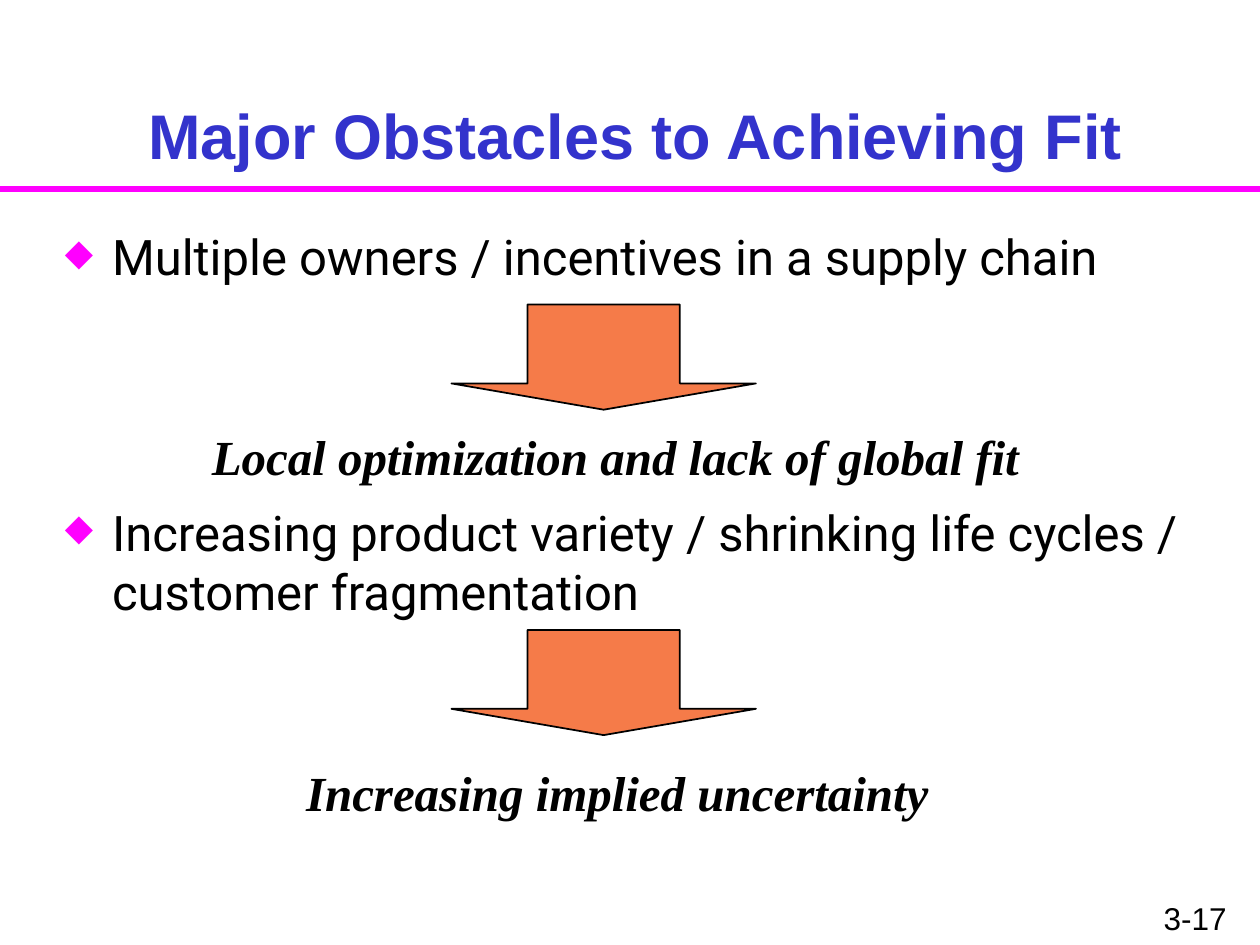
from lxml.etree import SubElement
from pptx import Presentation
from pptx.dml.color import RGBColor as RGB
from pptx.enum.shapes import MSO_CONNECTOR as CONN, MSO_SHAPE as SHAPE
from pptx.enum.text import MSO_ANCHOR as ANCHOR, PP_ALIGN as ALIGN
from pptx.oxml.ns import qn
from pptx.util import Cm, Pt

TITLE = "Major Obstacles to Achieving Fit"
NUMBER = "3-17"
OBSTACLES = [
    "Multiple owners / incentives in a supply chain",
    "Increasing product variety / shrinking life cycles / customer fragmentation",
]
EFFECTS = [
    ("Local optimization and lack of global fit", (4.02, 8.47, 16.79, 1.45)),
    ("Increasing implied uncertainty", (5.92, 15.24, 13.06, 1.45)),
]
ARROW_TOPS = [6.14, 12.7]
ARROW_LEFT, ARROW_WIDTH, ARROW_HEIGHT = 9.1, 6.14, 2.12
WIDTH, HEIGHT, RULE_Y = 25.4, 19.05, 3.81
BULLET_GAP = Pt(124)

THEME = {
    "rule": RGB(0xFF, 0x00, 0xFF),
    "arrow": RGB(0xF5, 0x7B, 0x49),
    "ink": RGB(0, 0, 0),
    "title": {"name": "Arial", "size": Pt(36), "bold": True, "color": RGB(0x33, 0x33, 0xCC)},
    "body": {"name": "Roboto", "size": Pt(28), "color": RGB(0, 0, 0)},
    "effect": {"name": "Times New Roman", "size": Pt(28), "bold": True, "italic": True,
               "color": RGB(0, 0, 0)},
    "number": {"name": "Arial", "size": Pt(18), "color": RGB(0, 0, 0)},
}


def add_text(s, box, lines, style, align=ALIGN.LEFT, anchor=ANCHOR.TOP, wrap=True):
    tf = s.shapes.add_textbox(*map(Cm, box)).text_frame
    tf.word_wrap, tf.vertical_anchor = wrap, anchor
    for i, line in enumerate(lines):
        p = tf.add_paragraph() if i else tf.paragraphs[0]
        p.alignment = align
        r = p.add_run()
        r.text = line
        for key, value in THEME[style].items():
            if key == "color":
                r.font.color.rgb = value
            else:
                setattr(r.font, key, value)
    return tf


def add_bullet(p):
    pPr = p._p.get_or_add_pPr()
    pPr.set("marL", str(Cm(0.95)))
    pPr.set("indent", str(-Cm(0.95)))
    color = SubElement(pPr, qn("a:buClr"))
    SubElement(color, qn("a:srgbClr"), val=str(THEME["rule"]))
    SubElement(pPr, qn("a:buSzPct"), val="75000")
    SubElement(pPr, qn("a:buChar"), char="◆")


def add_rule(s):
    rule = s.shapes.add_connector(CONN.STRAIGHT, 0, Cm(RULE_Y), Cm(WIDTH), Cm(RULE_Y))
    rule.line.color.rgb, rule.line.width = THEME["rule"], Pt(4)
    SubElement(rule._element.spPr, qn("a:effectLst"))


def add_arrow(s, top):
    sp = s.shapes.add_shape(SHAPE.DOWN_ARROW, Cm(ARROW_LEFT), Cm(top),
                            Cm(ARROW_WIDTH), Cm(ARROW_HEIGHT))
    sp.adjustments[0], sp.adjustments[1] = 0.5, 0.25
    sp.shadow.inherit = False
    sp.fill.solid()
    sp.fill.fore_color.rgb = THEME["arrow"]
    sp.line.color.rgb, sp.line.width = THEME["ink"], Pt(1)


def main():
    prs = Presentation()
    prs.slide_width, prs.slide_height = Cm(WIDTH), Cm(HEIGHT)
    s = prs.slides.add_slide(prs.slide_layouts[6])

    add_rule(s)
    add_text(s, (19.69, 17.99, 5.29, 1.06), [NUMBER], "number", ALIGN.RIGHT)
    add_text(s, (1.06, 0.74, 23.5, 2.86), [TITLE], "title", ALIGN.CENTER, ANCHOR.BOTTOM)
    tf = add_text(s, (1.06, 4.45, 23.07, 13.12), OBSTACLES, "body")
    for i, p in enumerate(tf.paragraphs):
        p.space_before = BULLET_GAP if i else Pt(0)
        add_bullet(p)
    for top in ARROW_TOPS:
        add_arrow(s, top)
    for text, box in EFFECTS:
        add_text(s, box, [text], "effect", wrap=False)

    prs.save("out.pptx")


if __name__ == "__main__":
    main()
